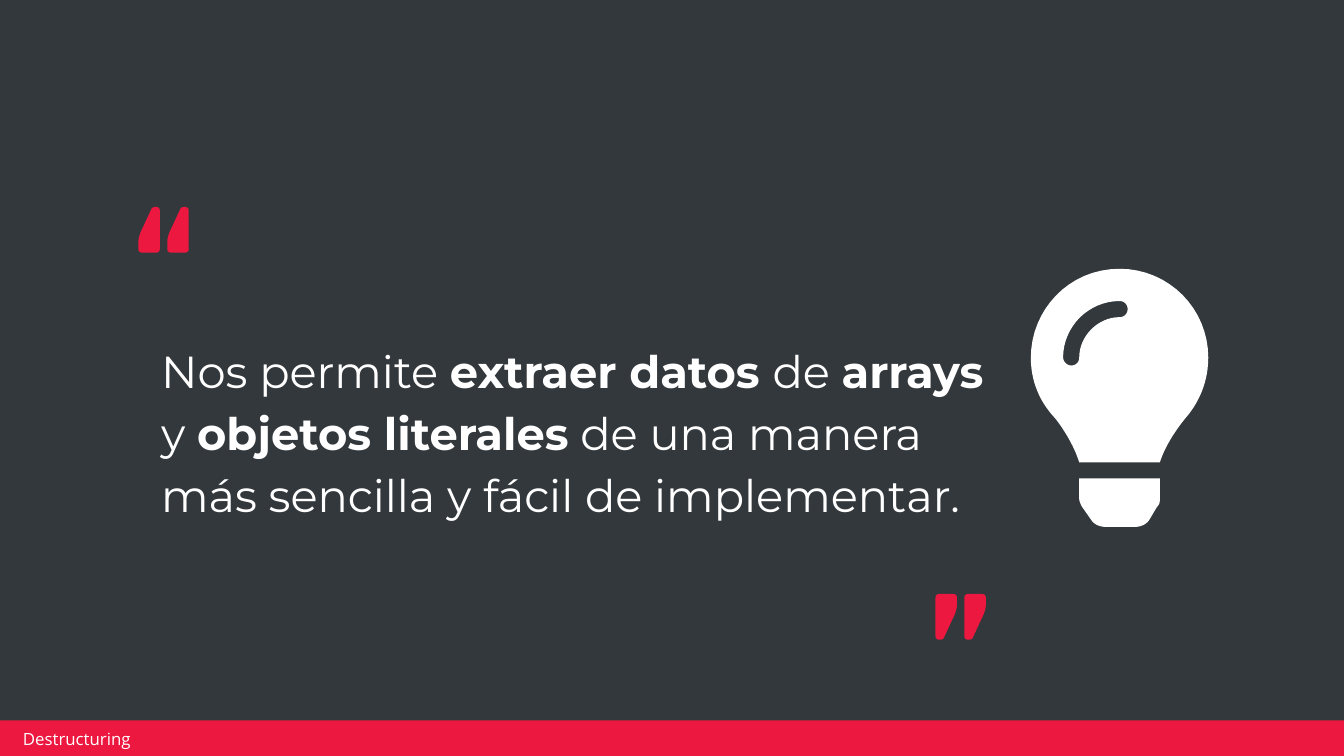
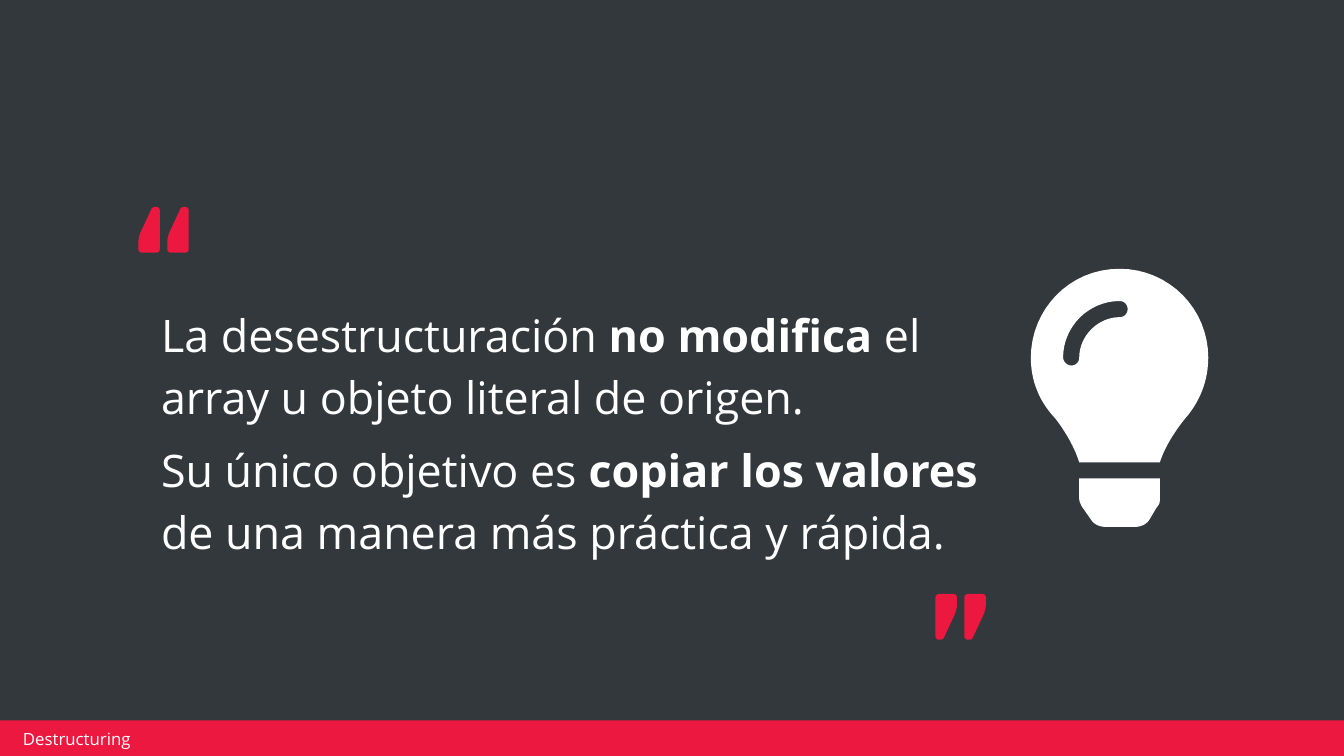
from collections import namedtuple

from pptx import Presentation
from pptx import util as u
from pptx.dml.color import RGBColor
from pptx.enum import shapes, text

# Grid: 100 columns across, square cells of a tenth of an inch.
CELL = u.Inches(0.1)
COLUMNS, ROWS = 100, 56.25
SLATE, RED, WHITE = "33383C", "EC183F", "FFFFFF"
OPEN_SANS, MONTSERRAT = "Open Sans", "Montserrat"

Box = namedtuple("Box", "left top width height")
BODY = Box(11, 20.8, 64.9, 22.2)
BULB = Box(76.7, 20, 13.2, 19.2)
OPENING = Box(10.3, 15.4, 3.75, 3.4)
CLOSING = Box(69.6, 44.2, 3.75, 3.4)
BAND = Box(-0.2, 53.6, 100.3, 2.7)

# Outlines: a pair is a straight step, six numbers are a cubic curve.
BULB_SIZE = (132, 192)
BULB_BASE = [(36, 171), (36, 173, 37, 175, 38, 177), (45, 187),
             (47, 190, 51, 192, 55, 192), (78, 192),
             (82, 192, 86, 190, 88, 187), (94, 177),
             (96, 175, 96, 173, 96, 171), (96, 156), (36, 156)]
BULB_GLASS = [(0, 66), (0, 83, 6, 98, 17, 110), (23, 117, 32, 131, 36, 144),
              (96, 144), (100, 131, 110, 117, 116, 110),
              (126, 98, 132, 83, 132, 66), (132, 30, 103, 0, 66, 0),
              (28, 0, 0, 31, 0, 66)]
BULB_GLEAM = [(66, 36), (50, 36, 36, 50, 36, 66), (36, 69, 34, 72, 30, 72),
              (27, 72, 24, 69, 24, 66), (24, 43, 43, 24, 66, 24),
              (70, 24, 72, 27, 72, 30), (72, 33, 70, 36, 66, 36)]
MARK_SIZE = (16, 34)
MARK = [(13, 0), (11.5, 0, 10.5, 0.5, 10, 1), (3, 16), (1, 20, 0, 23, 0, 27),
        (0, 31), (0, 33, 1, 34, 3, 34), (13, 34), (15, 34, 16, 33, 16, 31),
        (16, 3), (16, 1, 15, 0, 13, 0)]


def color(value):
    return RGBColor.from_string(value)


def emu(box):
    return [round(length * CELL) for length in box]


def paint(shape, fill):
    shape.shadow.inherit = False
    shape.fill.solid()
    shape.fill.fore_color.rgb = color(fill)
    shape.line.fill.background()


def flatten(outline, steps=16):
    """Return the points of an outline, with its curves cut into short lines."""
    points = [outline[0]]
    for part in outline[1:]:
        if len(part) == 2:
            points.append(part)
            continue
        corners = [points[-1], part[:2], part[2:4], part[4:]]
        for step in range(1, steps + 1):
            t = step / steps
            weights = ((1 - t) ** 3, 3 * t * (1 - t) ** 2, 3 * t * t * (1 - t), t ** 3)
            points.append(tuple(sum(w * corner[axis] for w, corner in zip(weights, corners))
                                for axis in (0, 1)))
    return points


def add_outlines(owner, box, outlines, size, fill):
    """Draw outlines, given in units of size, as one shape stretched to the box."""
    left, top, width, height = emu(box)
    contours = [[(x * width / size[0], y * height / size[1]) for x, y in flatten(outline)]
                for outline in outlines]
    builder = owner.build_freeform(*contours[0][0])
    for number, points in enumerate(contours):
        if number:
            builder.move_to(*points[0])
        builder.add_line_segments(points[1:], close=True)
    shape = builder.convert_to_shape(left, top)
    paint(shape, fill)
    return shape


def add_text(page, box, paragraphs, size, font, fill=WHITE, insets=(0.1, 0.05),
             spacing=None, before=0):
    """Write paragraphs, each a list of spans that alternate regular and bold."""
    frame = page.shapes.add_textbox(*emu(box)).text_frame
    frame.word_wrap = True
    frame.vertical_anchor = text.MSO_ANCHOR.MIDDLE
    frame.margin_left = frame.margin_right = u.Inches(insets[0])
    frame.margin_top = frame.margin_bottom = u.Inches(insets[1])
    for number, spans in enumerate(paragraphs):
        para = frame.add_paragraph() if number else frame.paragraphs[0]
        para.line_spacing = spacing
        para.space_before = u.Pt(before)
        for position, wording in enumerate(spans):
            span = para.add_run()
            span.text = wording
            span.font.size = u.Pt(size)
            span.font.name = font
            span.font.bold = position % 2 == 1
            span.font.color.rgb = color(fill)


def add_quote_marks(page, box, rotation=0):
    group = page.shapes.add_group_shape()
    width = box.height * MARK_SIZE[0] / MARK_SIZE[1]
    for left in (box.left, box.left + box.width - width):
        mark = add_outlines(group.shapes, Box(left, box.top, width, box.height),
                            [MARK], MARK_SIZE, RED)
        mark.rotation = rotation


def add_footer(page, box, wording):
    band = page.shapes.add_shape(shapes.MSO_SHAPE.RECTANGLE, *emu(box))
    paint(band, RED)
    label = Box(box.left + 1.4, box.top + 0.6, 23.9, 1.5)
    add_text(page, label, [[wording]], size=9, font=OPEN_SANS, insets=(0.05, 0.02))


def add_quote_slide(deck, paragraphs, font):
    page = deck.slides.add_slide(deck.slide_layouts[6])
    page.background.fill.solid()
    page.background.fill.fore_color.rgb = color(SLATE)
    add_text(page, BODY, paragraphs, size=24, font=font, spacing=1.15, before=6)
    add_outlines(page.shapes, BULB, [BULB_BASE, BULB_GLASS, BULB_GLEAM], BULB_SIZE, WHITE)
    add_quote_marks(page, OPENING)
    add_quote_marks(page, CLOSING, rotation=180)
    add_footer(page, BAND, "Destructuring")


def main():
    deck = Presentation()
    deck.slide_width = round(COLUMNS * CELL)
    deck.slide_height = round(ROWS * CELL)
    add_quote_slide(deck, [
        ["Nos permite ", "extraer datos ", "de ", "arrays ", "y ", "objetos literales",
         " de una manera más sencilla y fácil de implementar."],
    ], MONTSERRAT)
    add_quote_slide(deck, [
        ["La desestructuración ", "no modifica", " el array u objeto literal de origen."],
        ["Su único objetivo es ", "copiar los valores",
         " de una manera más práctica y rápida."],
    ], OPEN_SANS)
    deck.save("out.pptx")


if __name__ == "__main__":
    main()
